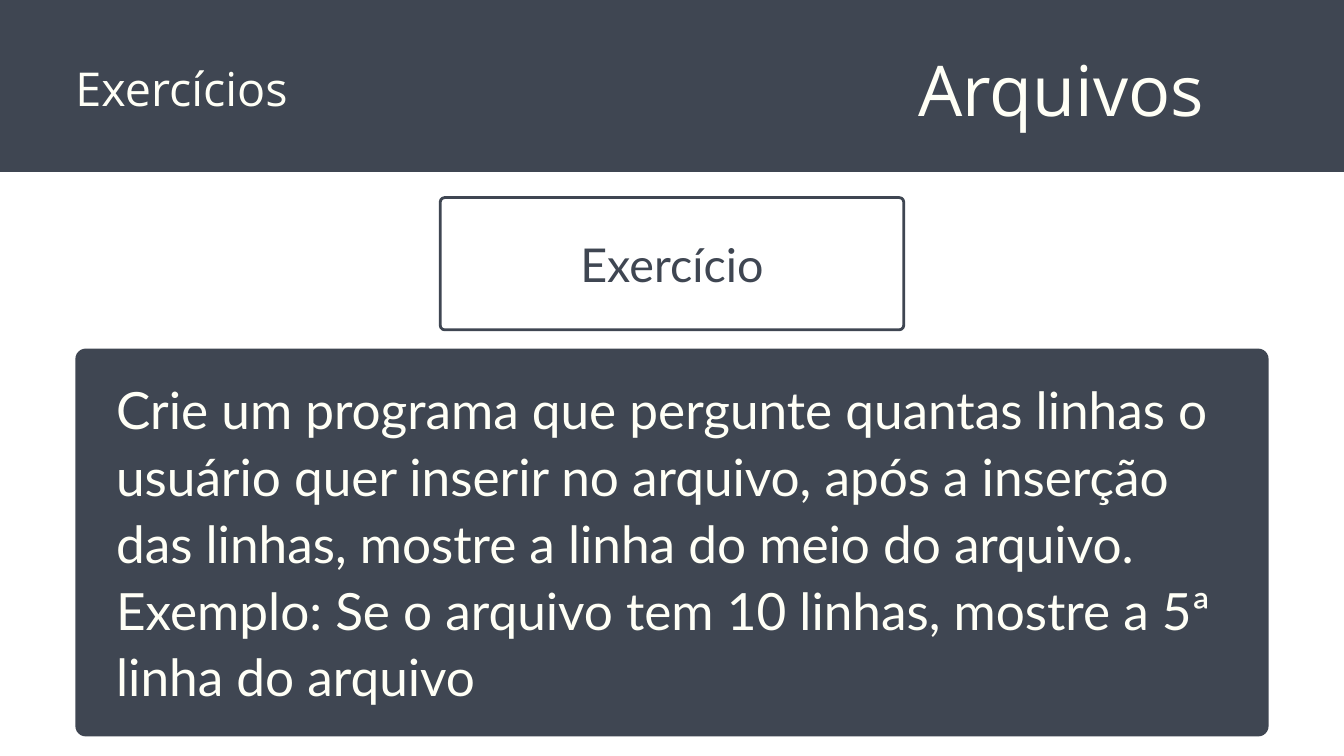
from pptx import Presentation
from pptx.dml.color import RGBColor
from pptx.enum.shapes import MSO_SHAPE as Preset
from pptx.enum.text import PP_ALIGN as Align
from pptx.util import Cm, Pt

COLORS = {"slate": "3F4652", "ivory": "FFFFF6"}
SLIDE_WIDTH, SLIDE_HEIGHT = 50.8, 28.58
MARGIN = 2.85

TASK = (
    "Crie um programa que pergunte quantas linhas o usuário quer inserir no "
    "arquivo, após a inserção das linhas, mostre a linha do meio do arquivo. "
    "Exemplo: Se o arquivo tem 10 linhas, mostre a 5ª linha do arquivo"
)


def color(name):
    return RGBColor.from_string(COLORS[name])


def add_panel(page, left, top, width, height, radius=0, fill=None, line=None):
    """Add a rectangle, rounded when a corner radius in cm is given."""
    preset = Preset.ROUNDED_RECTANGLE if radius else Preset.RECTANGLE
    panel = page.shapes.add_shape(preset, Cm(left), Cm(top), Cm(width), Cm(height))
    panel.shadow.inherit = False
    if radius:
        panel.adjustments[0] = radius / min(width, height)
    if fill:
        panel.fill.solid()
        panel.fill.fore_color.rgb = color(fill)
    else:
        panel.fill.background()
    if line:
        panel.line.color.rgb = color(line)
        panel.line.width = Pt(3)
    else:
        panel.line.fill.background()


def add_text(page, text, left, top, width, height, *, size, spacing,
             font="Lato", ink="ivory", align=Align.LEFT):
    """Add a text box without insets; size and spacing are in points."""
    box = page.shapes.add_textbox(Cm(left), Cm(top), Cm(width), Cm(height))
    frame = box.text_frame
    frame.word_wrap = True
    frame.margin_left = frame.margin_right = 0
    frame.margin_top = frame.margin_bottom = 0
    para = frame.paragraphs[0]
    para.alignment = align
    para.line_spacing = Pt(spacing)
    span = para.add_run()
    span.text = text
    span.font.name = font
    span.font.size = Pt(size)
    span.font.color.rgb = color(ink)


def main():
    deck = Presentation()
    deck.slide_width, deck.slide_height = Cm(SLIDE_WIDTH), Cm(SLIDE_HEIGHT)
    page = deck.slides.add_slide(deck.slide_layouts[6])

    # Header band with topic and section
    add_panel(page, 0, 0, SLIDE_WIDTH, 6.5, fill="slate")
    add_text(page, "Arquivos", 32.97, 1.24, 14.3, 3.61, size=75, spacing=105,
             font="Open Sans", align=Align.CENTER)
    add_text(page, "Exercícios", MARGIN, 1.9, 16.74, 2.41, size=50, spacing=70,
             font="Open Sans")

    # Outlined exercise label
    label_width = 17.52
    add_panel(page, (SLIDE_WIDTH - label_width) / 2, 7.47, label_width, 5,
              radius=0.17, line="slate")
    add_text(page, "Exercício", 20.42, 8.74, 9.96, 2.31, size=50, spacing=65,
             ink="slate", align=Align.CENTER)

    # Task panel
    add_panel(page, MARGIN, 13.18, SLIDE_WIDTH - 2 * MARGIN, 14.66,
              radius=0.39, fill="slate")
    add_text(page, TASK, 4.39, 14.12, 42.01, 12.6, size=55, spacing=71.5)

    deck.save("out.pptx")


if __name__ == "__main__":
    main()
